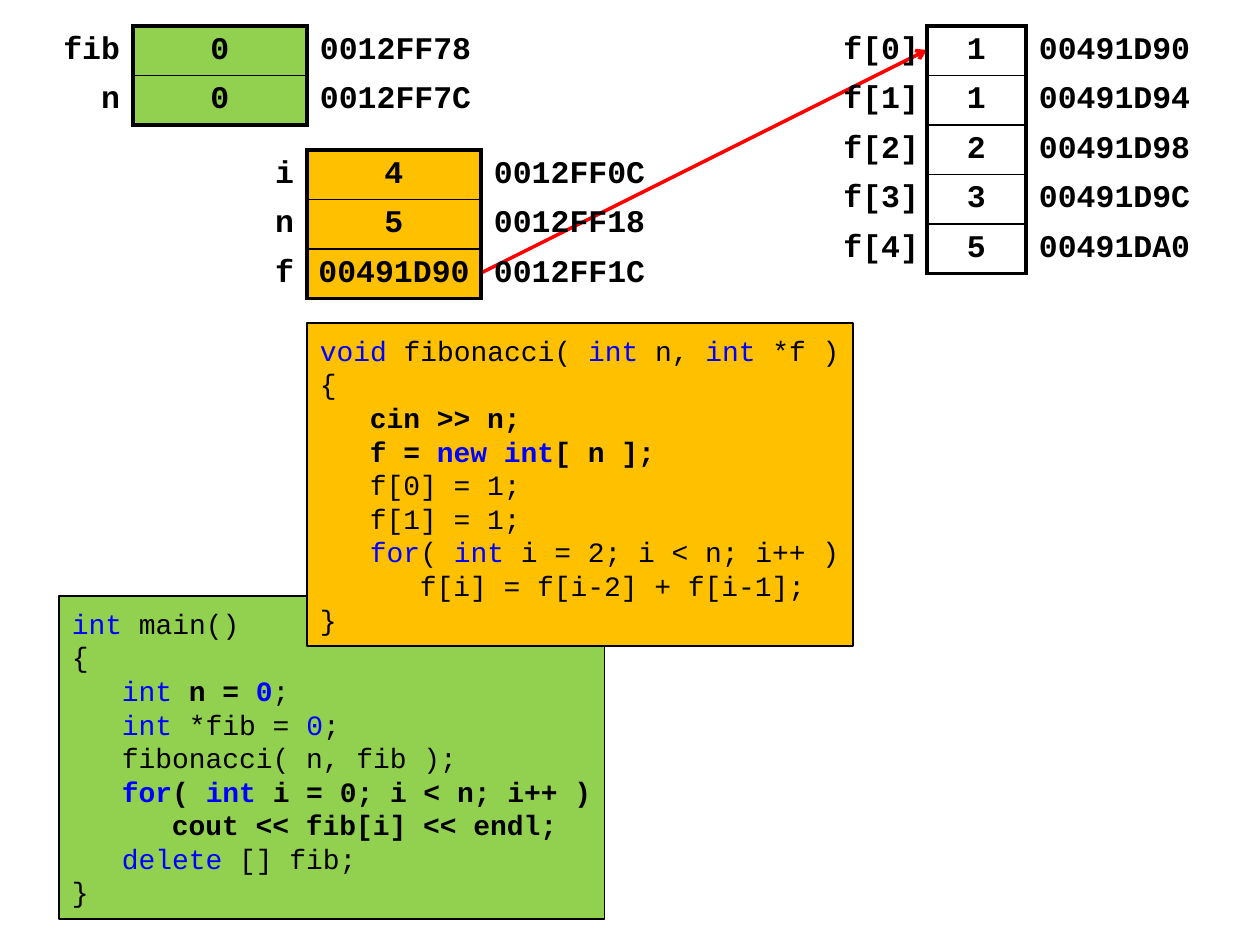
import pptx
import pptx.dml.color
import pptx.enum.shapes
import pptx.enum.text
import pptx.oxml
import pptx.oxml.ns
import pptx.util

PX = 7257  # EMU in one pixel at 126 pixels to the inch
BLACK, BLUE, RED, GREEN, ORANGE = "000000", "0000FF", "FF0000", "92D050", "FFC000"
NO_STYLE = "{2D5ABB26-0587-4C30-8999-92F81FD0307C}"
ALIGN = pptx.enum.text.PP_ALIGN
MIDDLE = pptx.enum.text.MSO_ANCHOR.MIDDLE


def color(value):
    """Turn a hex string into a colour."""
    return pptx.dml.color.RGBColor.from_string(value)


def add_span(para, text, size=16, bold=False, ink=BLACK):
    """Append formatted text to a paragraph."""
    span = para.add_run()
    span.text = text
    span.font.name = "Courier New"
    span.font.size = pptx.util.Pt(size)
    span.font.bold = bold
    span.font.color.rgb = color(ink)


deck = pptx.Presentation()
deck.slide_width = pptx.util.Inches(10)
deck.slide_height = pptx.util.Inches(7.5)
page = deck.slides.add_slide(deck.slide_layouts[6])

# Each line: indent level, then spans of text and style (k keyword, b bold)
main_code = [
    (0, [("int", "k"), (" main()", "")]),
    (0, [("{", "")]),
    (1, [("int ", "k"), ("n = ", "b"), ("0", "kb"), (";", "")]),
    (1, [("int", "k"), (" *fib = ", ""), ("0", "k"), (";", "")]),
    (1, [("fibonacci( n, fib );", "")]),
    (1, [("for", "kb"), ("( ", "b"), ("int ", "kb"), ("i = 0; i < n; i++ )", "b")]),
    (2, [("cout << fib[i] << endl;", "b")]),
    (1, [("delete", "k"), (" [] fib;", "")]),
    (0, [("}", "")]),
]
fibonacci_code = [
    (0, [("void ", "k"), ("fibonacci( ", ""), ("int", "k"), (" n, ", ""),
         ("int", "k"), (" *f )", "")]),
    (0, [("{", "")]),
    (1, [("cin >> n;", "b")]),
    (1, [("f = ", "b"), ("new int", "kb"), ("[ n ];", "b")]),
    (1, [("f[0] = 1;", "")]),
    (1, [("f[1] = 1;", "")]),
    (1, [("for", "k"), ("( ", ""), ("int ", "k"), ("i = 2; i < n; i++ )", "")]),
    (2, [("f[i] = f[i-2] + f[i-1];", "")]),
    (0, [("}", "")]),
]

code_boxes = []
for left, top, fill, code in [(59, 596, GREEN, main_code),
                              (307, 323, ORANGE, fibonacci_code)]:
    box = page.shapes.add_shape(pptx.enum.shapes.MSO_SHAPE.RECTANGLE,
                                left * PX, top * PX, 546 * PX, 323 * PX)
    box.shadow.inherit = False
    box.fill.solid()
    box.fill.fore_color.rgb = color(fill)
    box.line.color.rgb = color(BLACK)
    box.line.width = pptx.util.Pt(0.75)
    frame = box.text_frame
    frame.word_wrap = True
    frame.vertical_anchor = MIDDLE
    frame.margin_left, frame.margin_right = 13 * PX, 0
    for number, (level, spans) in enumerate(code):
        para = frame.add_paragraph() if number else frame.paragraphs[0]
        para.alignment = ALIGN.LEFT
        para.line_spacing = pptx.util.Pt(19.2)
        para._p.get_or_add_pPr().set("marL", str(level * 50 * PX))
        for text, style in spans:
            add_span(para, text, bold="b" in style, ink=BLUE if "k" in style else BLACK)
    code_boxes.append(box)

pointer = page.shapes.add_connector(pptx.enum.shapes.MSO_CONNECTOR.STRAIGHT,
                                    481 * PX, 273 * PX, 927 * PX, 50 * PX)
pointer.line.color.rgb = color(RED)
pointer.line.width = pptx.util.Pt(2)
arrow_xml = f'<a:tailEnd {pptx.oxml.ns.nsdecls("a")} type="arrow"/>'
pointer.line._get_or_add_ln().append(pptx.oxml.parse_xml(arrow_xml))
effects_xml = f'<a:effectLst {pptx.oxml.ns.nsdecls("a")}/>'
pointer._element.spPr.append(pptx.oxml.parse_xml(effects_xml))

# Each table: left, top, column widths, value fill, label inset, rows
memory_tables = [
    (679, 26, [99, 149, 99, 198], None, 8, [
        ("", "f[0]", "1", "00491D90"), ("", "f[1]", "1", "00491D94"),
        ("", "f[2]", "2", "00491D98"), ("", "f[3]", "3", "00491D9C"),
        ("", "f[4]", "5", "00491DA0")]),
    (34, 26, [99, 174, 174], GREEN, 13, [
        ("fib", "0", "0012FF78"), ("n", "0", "0012FF7C")]),
    (258, 150, [49, 174, 174], ORANGE, 13, [
        ("i", "4", "0012FF0C"), ("n", "5", "0012FF18"), ("f", "00491D90", "0012FF1C")]),
]
row_height = 248 * PX // 5

for left, top, widths, value_fill, label_inset, rows in memory_tables:
    holder = page.shapes.add_table(len(rows), len(widths), left * PX, top * PX,
                                   sum(widths) * PX, row_height * len(rows))
    table = holder.table
    table.first_row = table.horz_banding = False
    table._tbl.tblPr.find(pptx.oxml.ns.qn("a:tableStyleId")).text = NO_STYLE
    for column, width in zip(table.columns, widths):
        column.width = width * PX
    value_column = len(widths) - 2
    for r, texts in enumerate(rows):
        table.rows[r].height = row_height
        for c, text in enumerate(texts):
            cell = table.cell(r, c)
            role = c - value_column  # -1 label, 0 value, 1 address
            borders = {-1: {"R": 2.25}, 1: {"L": 2.25}}.get(role, {})
            if role == 0:
                borders = {"L": 2.25, "R": 2.25, "T": 1 if r else 2.25,
                           "B": 2.25 if r == len(rows) - 1 else 1}
            for side, points in borders.items():
                cell._tc.get_or_add_tcPr().append(pptx.oxml.parse_xml(
                    f'<a:ln{side} {pptx.oxml.ns.nsdecls("a")} w="{int(points * 12700)}">'
                    f'<a:solidFill><a:srgbClr val="{BLACK}"/></a:solidFill></a:ln{side}>'))
            if role == 0 and value_fill:
                cell.fill.solid()
                cell.fill.fore_color.rgb = color(value_fill)
            else:
                cell.fill.background()
            cell.vertical_anchor = MIDDLE
            cell.margin_left = (10 if role == 0 else 13) * PX
            cell.margin_right = (label_inset if role < 0 else 8) * PX
            if role == 0:
                cell.margin_right = 10 * PX
            cell.margin_top = cell.margin_bottom = 5 * PX
            if text:
                para = cell.text_frame.paragraphs[0]
                para.alignment = {-1: ALIGN.RIGHT, 0: ALIGN.CENTER}.get(role, ALIGN.LEFT)
                add_span(para, text, size=18, bold=True)

# The fibonacci code lies in front of everything else
page.shapes._spTree.append(code_boxes[1]._element)

deck.save("out.pptx")
